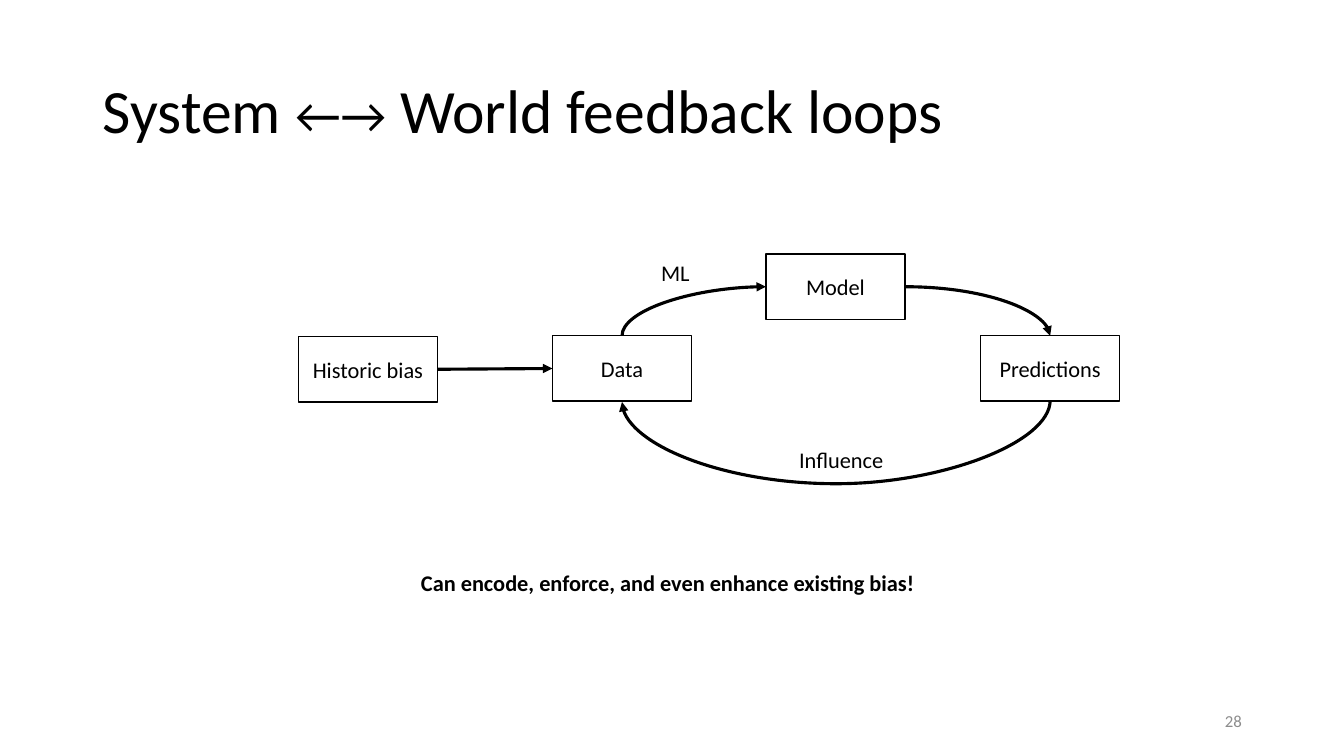
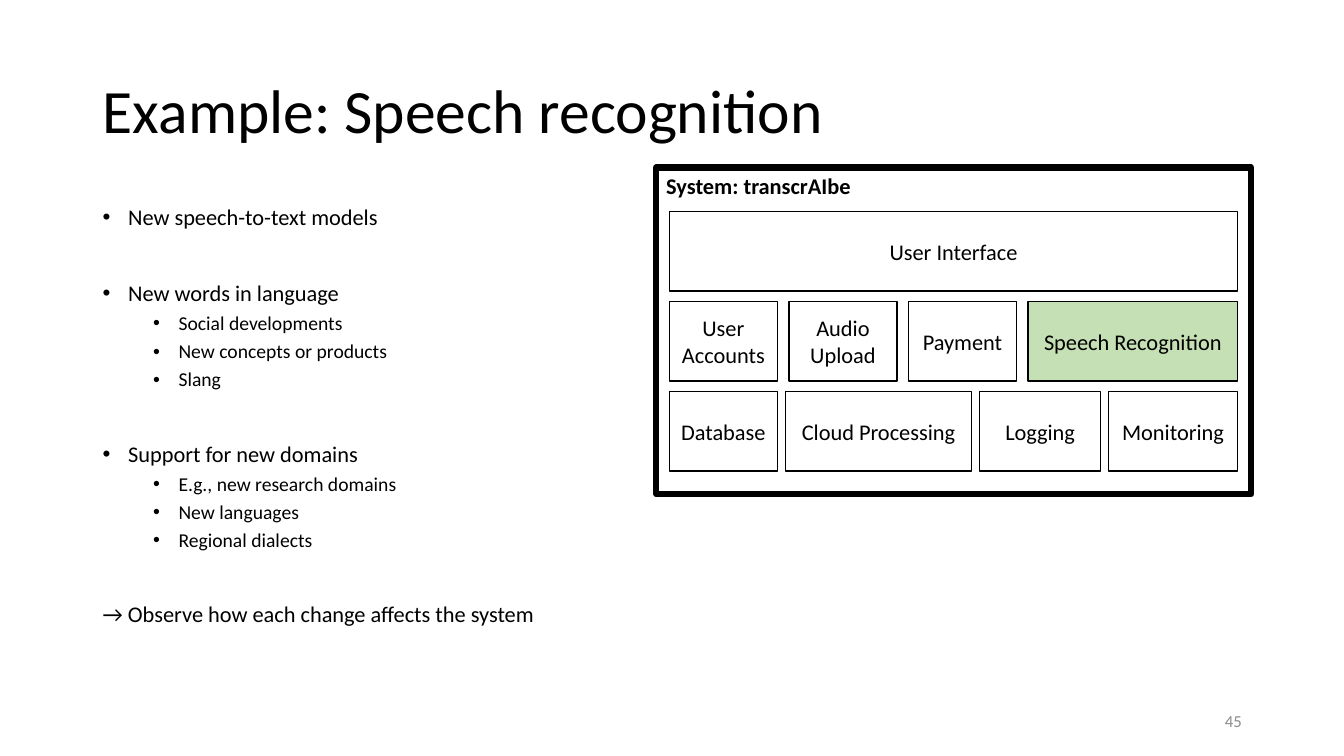
"""Build two lecture slides: a bias feedback loop and a speech recognition system."""
from lxml import etree
from pptx import Presentation
from pptx import util as u
from pptx.dml.color import RGBColor
from pptx.enum import shapes, text
from pptx.oxml import ns

BLACK, WHITE, GREY, GREEN = "000000", "FFFFFF", "8C8C8C", "C5E0B4"
FONT = "Calibri"
LEFT, CENTER, RIGHT = text.PP_ALIGN.LEFT, text.PP_ALIGN.CENTER, text.PP_ALIGN.RIGHT
TOP, MIDDLE = text.MSO_ANCHOR.TOP, text.MSO_ANCHOR.MIDDLE
SITES = {"top": 0, "left": 1, "bottom": 2, "right": 3}

LOOP_TITLE = [("System ", 44), ("←→", 36), (" World feedback loops", 44)]
STAGE_SIZE = (3.51, 1.65)
STAGES = {
    "Historic bias": (7.52, 8.48),
    "Data": (13.92, 8.46),
    "Model": (19.3, 6.4),
    "Predictions": (24.71, 8.46),
}
FLOWS = [
    ("Historic bias", "right", "Data", "left", {}),
    ("Data", "top", "Model", "left",
     {"preset": "curvedConnector2", "turn": 90, "flips": ("flipH", "flipV")}),
    ("Model", "right", "Predictions", "top", {"preset": "curvedConnector2"}),
    ("Predictions", "bottom", "Data", "bottom",
     {"preset": "curvedConnector3", "turn": 90, "depth": 2.1}),
]
LOOP_LABELS = [
    ("ML", (16.41, 6.4, 1.24, 0.94), False),
    ("Influence", (19.89, 11.13, 2.67, 0.94), False),
    ("Can encode, enforce, and even enhance existing bias!", (10.36, 14.22, 13.13, 0.94), True),
]

SPEECH_TITLE = [("Example: Speech recognition", 44)]
CHANGES = [
    ("New speech-to-text models", []),
    ("New words in language", ["Social developments", "New concepts or products", "Slang"]),
    ("Support for new domains", ["E.g., new research domains", "New languages", "Regional dialects"]),
]
CONCLUSION = "→ Observe how each change affects the system"
SYSTEM_NAME = "System: transcrAIbe"
SYSTEM_FRAME = (16.54, 4.22, 14.99, 8.23)
LAYERS_LEFT, LAYERS_TOP, LAYERS_WIDTH = 16.87, 5.33, 14.32
LAYER_HEIGHT, LAYER_PITCH = 2, 2.27
LAYERS = [
    [("User Interface", 14.32)],
    [("User Accounts", 2.72), ("Audio Upload", 2.72), ("Payment", 2.72), ("Speech Recognition", 5.28)],
    [("Database", 2.72), ("Cloud Processing", 4.7), ("Logging", 3.05), ("Monitoring", 3.25)],
]
HIGHLIGHT = "Speech Recognition"


def rgb(value):
    """Turn a hex string into a colour."""
    return RGBColor.from_string(value)


def cm(*lengths):
    """Turn centimetres into lengths."""
    return [u.Cm(length) for length in lengths]


def add_bullet(paragraph, margin):
    """Give a paragraph a hanging bullet."""
    props = paragraph._p.get_or_add_pPr()
    props.set("marL", str(u.Cm(margin)))
    props.set("indent", str(-u.Cm(0.64)))
    etree.SubElement(props, ns.qn("a:buFont")).set("typeface", "Arial")
    etree.SubElement(props, ns.qn("a:buChar")).set("char", "•")


def write(paragraph, content, size=16, color=BLACK, bold=False, align=LEFT,
          spacing=None, before=None, level=0, bullet=None):
    """Fill a paragraph with a string or a list of (text, size) runs."""
    if bullet is not None:
        add_bullet(paragraph, bullet)
    paragraph.alignment, paragraph.level = align, level
    if spacing is not None:
        paragraph.line_spacing = spacing
    if before is not None:
        paragraph.space_before = u.Pt(before)
    for words, points in [(content, size)] if isinstance(content, str) else content:
        run = paragraph.add_run()
        run.text = words
        run.font.name, run.font.size, run.font.bold = FONT, u.Pt(points), bold
        run.font.color.rgb = rgb(color)


def add_label(slide, words, place, anchor=TOP, wrap=True, **style):
    """Add a text box with one paragraph."""
    frame = slide.shapes.add_textbox(*cm(*place)).text_frame
    frame.word_wrap, frame.vertical_anchor = wrap, anchor
    write(frame.paragraphs[0], words, **style)
    return frame


def add_block(slide, words, place, fill=WHITE, weight=1, anchor=MIDDLE, align=CENTER, bold=False):
    """Add an outlined rectangle with text."""
    block = slide.shapes.add_shape(shapes.MSO_SHAPE.RECTANGLE, *cm(*place))
    block.shadow.inherit = False
    if fill:
        block.fill.solid()
        block.fill.fore_color.rgb = rgb(fill)
    else:
        block.fill.background()
    block.line.color.rgb, block.line.width = rgb(BLACK), u.Pt(weight)
    block.text_frame.word_wrap, block.text_frame.vertical_anchor = True, anchor
    write(block.text_frame.paragraphs[0], words, align=align, bold=bold)
    return block


def add_flow(slide, source, source_site, target, target_site,
             preset="line", turn=0, flips=(), depth=None):
    """Join two blocks with an arrow, bent as the preset says."""
    flow = slide.shapes.add_connector(shapes.MSO_CONNECTOR.STRAIGHT, 0, 0, 0, 0)
    flow.begin_connect(source, SITES[source_site])
    flow.end_connect(target, SITES[target_site])
    flow.line.color.rgb, flow.line.width = rgb(BLACK), u.Pt(2.25)
    props = flow._element.spPr
    etree.SubElement(props.find(ns.qn("a:ln")), ns.qn("a:tailEnd")).set("type", "triangle")
    etree.SubElement(props, ns.qn("a:effectLst"))
    if preset == "line":
        return
    geometry = props.find(ns.qn("a:prstGeom"))
    geometry.set("prst", preset)
    middle_x, middle_y = (flow.begin_x + flow.end_x) // 2, (flow.begin_y + flow.end_y) // 2
    width, height = flow.width, flow.height
    if turn:
        width, height = max(height, u.Cm(0.04)), width
    if depth:
        guide = etree.SubElement(geometry.find(ns.qn("a:avLst")), ns.qn("a:gd"))
        guide.set("name", "adj1")
        guide.set("fmla", f"val {round(u.Cm(depth) / width * 100000)}")
    flow.left, flow.top = middle_x - width // 2, middle_y - height // 2
    flow.width, flow.height = width, height
    frame = props.find(ns.qn("a:xfrm"))
    for flip in ("flipH", "flipV"):
        frame.set(flip, "1" if flip in flips else "0")
    frame.set("rot", str(turn * 60000))


def add_slide(deck, title, number):
    """Add a slide with the shared title style and page number."""
    slide = deck.slides.add_slide(deck.slide_layouts[5])
    heading = slide.shapes.title
    heading.left, heading.top, heading.width, heading.height = cm(2.34, 1.02, 29.21, 3.68)
    heading.text_frame.auto_size = text.MSO_AUTO_SIZE.NONE
    heading.text_frame.vertical_anchor = MIDDLE
    write(heading.text_frame.paragraphs[0], title, spacing=0.9)
    add_label(slide, number, (23.93, 17.65, 7.62, 1.02), anchor=MIDDLE, size=12, color=GREY, align=RIGHT)
    return slide


def build_loop(deck):
    """Draw the feedback loop."""
    slide = add_slide(deck, LOOP_TITLE, "28")
    blocks = {name: add_block(slide, name, corner + STAGE_SIZE) for name, corner in STAGES.items()}
    for source, source_site, target, target_site, bend in FLOWS:
        add_flow(slide, blocks[source], source_site, blocks[target], target_site, **bend)
    for words, place, bold in LOOP_LABELS:
        add_label(slide, words, place, wrap=False, bold=bold)


def build_speech(deck):
    """Draw the list of changes and the system layers."""
    slide = add_slide(deck, SPEECH_TITLE, "45")
    first, *others = CHANGES
    frame = add_label(slide, first[0], (2.34, 5.08, 13.8, 12.09), spacing=0.9, before=0, bullet=0.64)
    for change, details in others:
        write(frame.add_paragraph(), change, spacing=0.9, before=37, bullet=0.64)
        for detail in details:
            write(frame.add_paragraph(), detail, size=14, spacing=0.9, before=5, level=1, bullet=1.91)
    write(frame.add_paragraph(), CONCLUSION, spacing=0.9, before=37)

    add_block(slide, SYSTEM_NAME, SYSTEM_FRAME, fill=None, weight=4.5, anchor=TOP, align=LEFT, bold=True)
    for row, parts in enumerate(LAYERS):
        gap = (LAYERS_WIDTH - sum(width for _, width in parts)) / max(len(parts) - 1, 1)
        left, top = LAYERS_LEFT, LAYERS_TOP + row * LAYER_PITCH
        for name, width in parts:
            fill = GREEN if name == HIGHLIGHT else WHITE
            add_block(slide, name, (left, top, width, LAYER_HEIGHT), fill=fill)
            left += width + gap


def main():
    """Build and save the slides."""
    deck = Presentation()
    deck.slide_width, deck.slide_height = cm(33.87, 19.05)
    build_loop(deck)
    build_speech(deck)
    deck.save("out.pptx")


if __name__ == "__main__":
    main()
